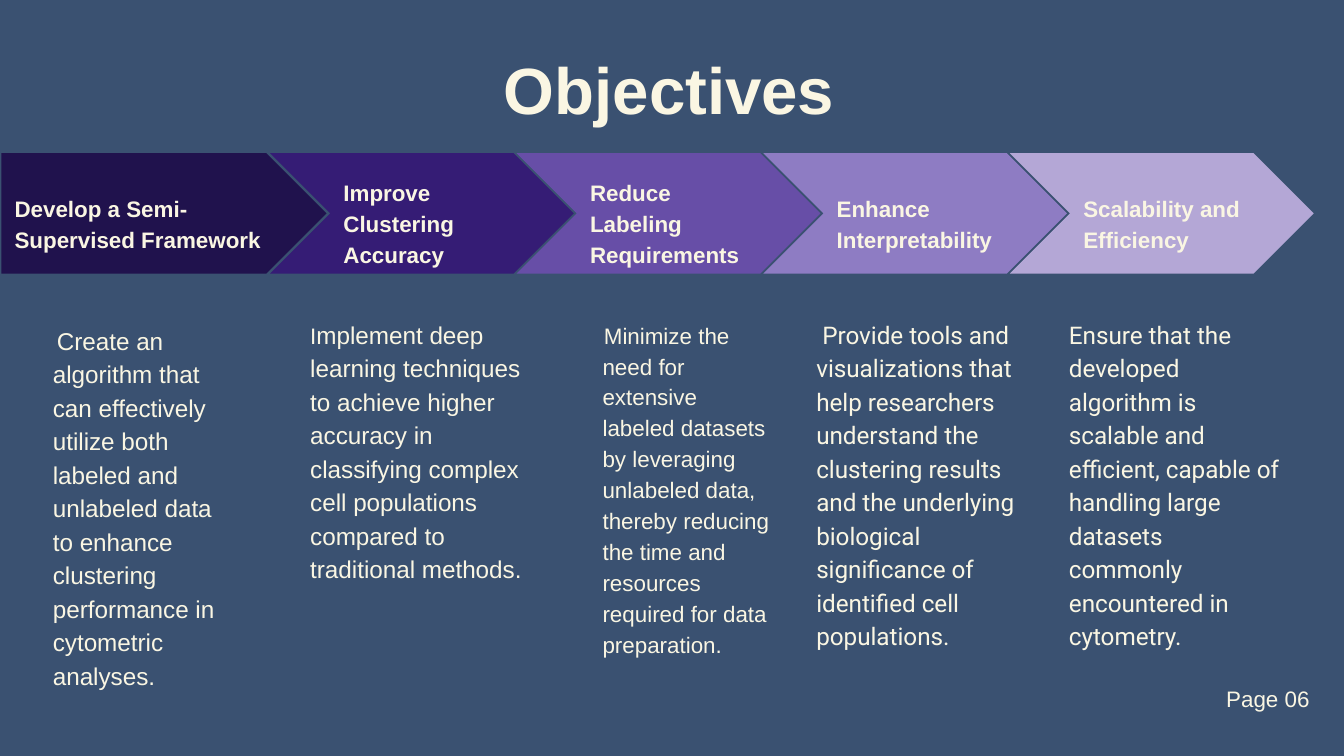
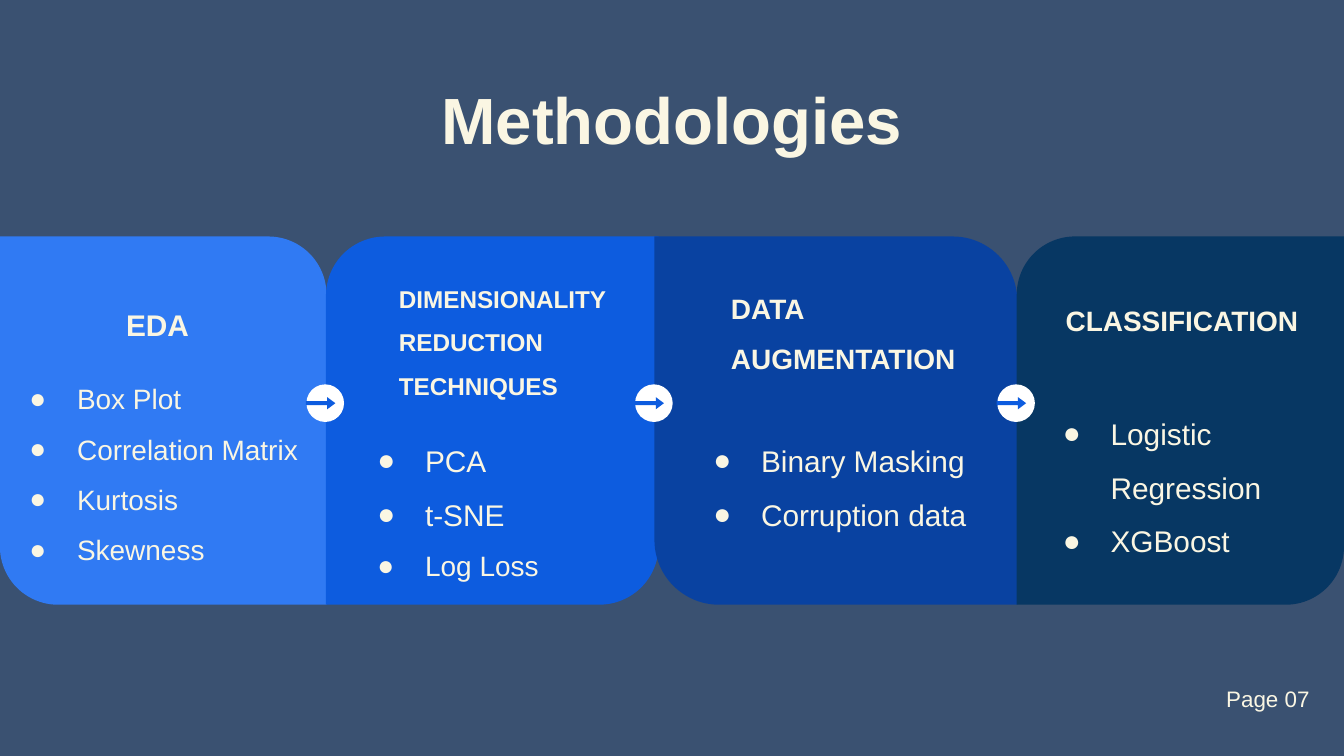
from dataclasses import dataclass

from lxml import etree
from pptx import Presentation
from pptx.dml.color import RGBColor
from pptx.enum.shapes import MSO_SHAPE
from pptx.enum.text import MSO_ANCHOR, PP_ALIGN
from pptx.oxml.ns import qn
from pptx.util import Emu, Pt

PX = 4572  # 200 px to the inch
SLIDE_W, SLIDE_H = 2000, 1125
INSET = 20

BACKGROUND = "3A5171"
CREAM = "FAF6E3"
WHITE = "FFFFFF"
ARROW_BLUE = "0D5CDF"
SANS, ROBOTO = "Arial", "Roboto"

PENTAGON, CHEVRON = MSO_SHAPE.PENTAGON, MSO_SHAPE.CHEVRON
PANEL = MSO_SHAPE.ROUND_2_DIAG_RECTANGLE
OVAL, RIGHT_ARROW = MSO_SHAPE.OVAL, MSO_SHAPE.RIGHT_ARROW
TOP, MIDDLE = MSO_ANCHOR.TOP, MSO_ANCHOR.MIDDLE
LEFT, CENTER = PP_ALIGN.LEFT, PP_ALIGN.CENTER
TITLE_ONLY = 5

STEP_TOP, STEP_H = 228, 179
CHEVRON_LEFT, CHEVRON_W, CHEVRON_STEP = 402, 452, 367
PANEL_TOP, PANEL_H, PANEL_ROUND = 352, 548, 0.178
DOT_TOP, DOT_SIZE = 572, 56
BULLET_MARGIN, BULLET_HANG = 100, -71


@dataclass(frozen=True)
class Box:
    left: int
    top: int
    width: int
    height: int


@dataclass(frozen=True)
class Run:
    text: str
    size: int
    bold: bool = False
    font: str = SANS


@dataclass(frozen=True)
class Objective:
    name: str
    color: str
    box: Box
    runs: tuple[Run, ...]
    margin: int = 0
    indent: int = 0


@dataclass(frozen=True)
class Method:
    heading: Run
    heading_box: Box
    left: int
    width: int
    color: str
    items: tuple[Run, ...]
    items_box: Box


OBJECTIVES = (
    Objective("Develop a Semi-Supervised Framework", "20124D", Box(1, 459, 368, 460), (
        Run("Create an algorithm that can effectively utilize both labeled and unlabeled "
            "data to enhance clustering performance in cytometric analyses.", 13),
    ), margin=58, indent=6),
    Objective("Improve Clustering Accuracy", "351C75", Box(442, 450, 356, 392), (
        Run("I", 12),
        Run("mplement deep learning techniques to achieve higher accuracy in classifying "
            "complex cell populations compared to traditional methods.", 13),
    )),
    Objective("Reduce Labeling Requirements", "674EA7", Box(819, 453, 350, 514), (
        Run("Minimize the need for extensive labeled datasets by leveraging unlabeled data, "
            "thereby reducing the time and resources required for data preparation.", 12),
    ), margin=58, indent=2),
    Objective("Enhance Interpretability", "8E7CC3", Box(1195, 450, 356, 514), (
        Run("Provide tools and visualizations that help researchers understand the clustering "
            "results and the underlying biological significance of identified cell "
            "populations.", 13, font=ROBOTO),
    ), indent=9),
    Objective("Scalability and Efficiency", "B4A7D6", Box(1571, 450, 356, 514), (
        Run("Ensure that the developed algorithm is scalable and efficient, capable of "
            "handling large datasets commonly encountered in cytometry.", 13, font=ROBOTO),
    )),
)

METHODS = (
    Method(Run("EDA", 16, True), Box(168, 410, 150, 78), 0, 486, "307AF3",
           (Run("Box Plot", 15), Run("Correlation Matrix", 15),
            Run("Kurtosis", 15), Run("Skewness", 15)),
           Box(-5, 523, 496, 330)),
    Method(Run("DIMENSIONALITY REDUCTION TECHNIQUES", 13, True), Box(574, 381, 356, 188),
           485, 495, "0D5CDF",
           (Run("PCA", 16), Run("t-SNE", 16), Run("Log Loss", 15)),
           Box(513, 612, 340, 234)),
    Method(Run("DATA AUGMENTATION", 15, True), Box(1068, 389, 424, 156),
           974, 540, "0942A1",
           (Run("Binary Masking", 16), Run("Corruption data", 16)),
           Box(1013, 612, 486, 218)),
    Method(Run("CLASSIFICATION", 15, True), Box(1566, 407, 404, 126),
           1513, 487, "073763",
           (Run("Logistic Regression", 16), Run("XGBoost", 16)),
           Box(1533, 572, 438, 234)),
)


def px(n: int) -> Emu:
    return Emu(n * PX)


def rgb(value: str) -> RGBColor:
    return RGBColor.from_string(value)


def place(box: Box) -> tuple[Emu, ...]:
    return px(box.left), px(box.top), px(box.width), px(box.height)


def setup_frame(tf, anchor=TOP, top: int = INSET, bottom: int = INSET) -> None:
    tf.word_wrap = True
    tf.vertical_anchor = anchor
    tf.margin_left = tf.margin_right = px(INSET)
    tf.margin_top, tf.margin_bottom = px(top), px(bottom)


def add_run(p, run: Run) -> None:
    r = p.add_run()
    r.text = run.text
    r.font.name = run.font
    r.font.size = Pt(run.size)
    r.font.bold = run.bold
    r.font.color.rgb = rgb(CREAM)


def set_indent(p, margin: int, indent: int) -> None:
    pPr = p._p.get_or_add_pPr()
    pPr.set("marL", str(px(margin)))
    pPr.set("indent", str(px(indent)))


def add_bullet(p) -> None:
    set_indent(p, BULLET_MARGIN, BULLET_HANG)
    pPr = p._p.get_or_add_pPr()
    color = etree.SubElement(pPr, qn("a:buClr"))
    etree.SubElement(color, qn("a:srgbClr"), val=CREAM)
    etree.SubElement(pPr, qn("a:buFont"), typeface=SANS)
    etree.SubElement(pPr, qn("a:buChar"), char="●")


def add_text(s, box: Box, runs: tuple[Run, ...], spacing: float = 1.0,
             margin: int = 0, indent: int = 0) -> None:
    tf = s.shapes.add_textbox(*place(box)).text_frame
    setup_frame(tf)
    p = tf.paragraphs[0]
    set_indent(p, margin, indent)
    p.line_spacing = spacing
    for run in runs:
        add_run(p, run)


def add_bullets(s, box: Box, items: tuple[Run, ...]) -> None:
    tf = s.shapes.add_textbox(*place(box)).text_frame
    setup_frame(tf)
    for i, item in enumerate(items):
        p = tf.add_paragraph() if i else tf.paragraphs[0]
        add_bullet(p)
        p.line_spacing = 1.5
        add_run(p, item)


def add_filled(s, kind, box: Box, color: str, adjustments: tuple[float, ...] = ()):
    sp = s.shapes.add_shape(kind, *place(box))
    sp.shadow.inherit = False
    sp.fill.solid()
    sp.fill.fore_color.rgb = rgb(color)
    sp.line.fill.background()
    for i, value in enumerate(adjustments):
        sp.adjustments[i] = value
    return sp


def add_titled_slide(prs, title: str, left: int, top: int, page: int):
    s = prs.slides.add_slide(prs.slide_layouts[TITLE_ONLY])
    sp = s.shapes.title
    sp.left, sp.top, sp.width, sp.height = place(Box(left, top, 1864, 126))
    setup_frame(sp.text_frame)
    p = sp.text_frame.paragraphs[0]
    p.alignment = CENTER
    add_run(p, Run(title, 35, True))
    add_text(s, Box(1805, 1000, 195, 74), (Run(f"Page {page:02}", 12),))
    return s


def add_step(s, index: int, objective: Objective) -> None:
    if index == 0:
        kind, left, width = PENTAGON, 2, 484
    else:
        kind, width = CHEVRON, CHEVRON_W
        left = CHEVRON_LEFT + (index - 1) * CHEVRON_STEP
    sp = add_filled(s, kind, Box(left, STEP_TOP, width, STEP_H), objective.color, (0.5,))
    setup_frame(sp.text_frame, MIDDLE, top=25, bottom=0)
    p = sp.text_frame.paragraphs[0]
    p.alignment = LEFT
    p.line_spacing = 1.15
    add_run(p, Run(objective.name, 12, True))


def add_arrow_dot(s, left: int) -> None:
    add_filled(s, OVAL, Box(left, DOT_TOP, DOT_SIZE, DOT_SIZE), WHITE)
    add_filled(s, RIGHT_ARROW, Box(left - 1, DOT_TOP + 19, 44, 18), ARROW_BLUE, (0.32, 0.67))


def build_objectives(prs) -> None:
    s = add_titled_slide(prs, "Objectives", 64, 53, 6)
    for i, objective in enumerate(OBJECTIVES):
        add_step(s, i, objective)
        add_text(s, objective.box, objective.runs, 1.15, objective.margin, objective.indent)


def build_methodologies(prs) -> None:
    s = add_titled_slide(prs, "Methodologies", 68, 98, 7)
    for i, method in enumerate(METHODS):
        corners = (PANEL_ROUND, 0) if i % 2 else (0, PANEL_ROUND)
        add_filled(s, PANEL, Box(method.left, PANEL_TOP, method.width, PANEL_H),
                   method.color, corners)
        add_text(s, method.heading_box, (method.heading,), 1.5)
        add_bullets(s, method.items_box, method.items)
    for method in METHODS[1:]:
        add_arrow_dot(s, method.left - 29)


def main() -> None:
    prs = Presentation()
    prs.slide_width, prs.slide_height = px(SLIDE_W), px(SLIDE_H)
    fill = prs.slide_master.background.fill
    fill.solid()
    fill.fore_color.rgb = rgb(BACKGROUND)
    build_objectives(prs)
    build_methodologies(prs)
    prs.save("out.pptx")


if __name__ == "__main__":
    main()
